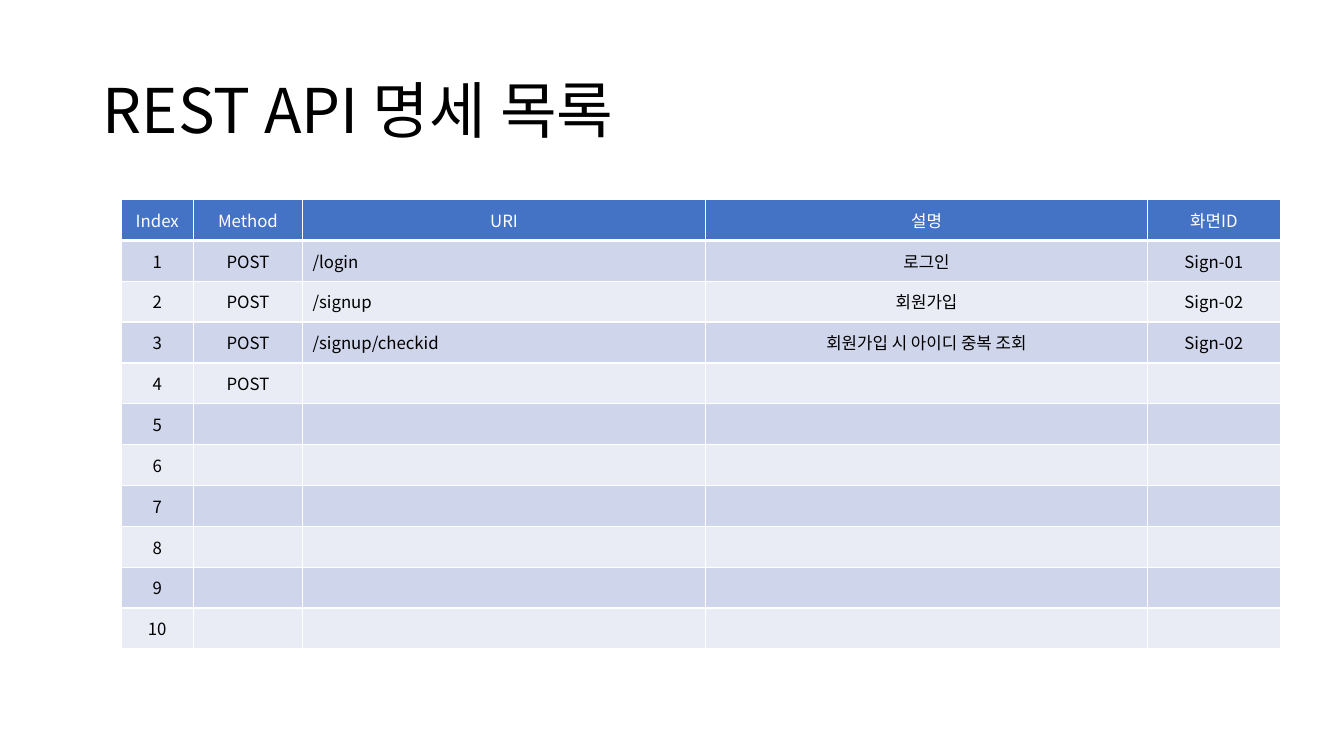
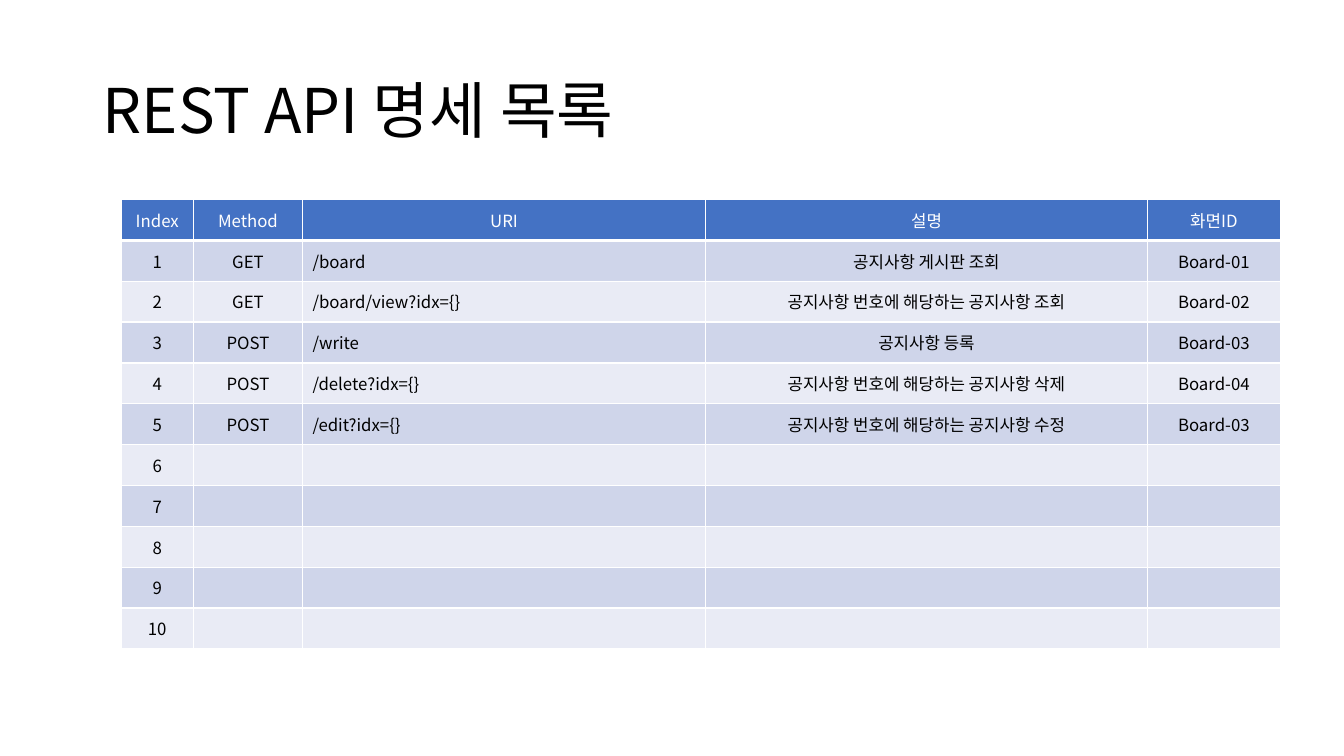
from dataclasses import dataclass

from lxml import etree
from pptx import Presentation
from pptx import util as u
from pptx.dml.color import RGBColor
from pptx.enum import text
from pptx.oxml.ns import qn

TITLE = "REST API 명세 목록"
# heading, width in inches, alignment of the body cells
MID, LEFT = text.PP_ALIGN.CENTER, text.PP_ALIGN.LEFT
COLS = [
    ("Index", 0.72, MID),
    ("Method", 1.08, MID),
    ("URI", 4, LEFT),
    ("설명", 4.38, MID),
    ("화면ID", 1.32, MID),
]
LISTS = [
    [
        ("POST", "/login", "로그인", "Sign-01"),
        ("POST", "/signup", "회원가입", "Sign-02"),
        ("POST", "/signup/checkid", "회원가입 시 아이디 중복 조회", "Sign-02"),
        ("POST",),
    ],
    [
        ("GET", "/board", "공지사항 게시판 조회", "Board-01"),
        ("GET", "/board/view?idx={}", "공지사항 번호에 해당하는 공지사항 조회", "Board-02"),
        ("POST", "/write", "공지사항 등록", "Board-03"),
        ("POST", "/delete?idx={}", "공지사항 번호에 해당하는 공지사항 삭제", "Board-04"),
        ("POST", "/edit?idx={}", "공지사항 번호에 해당하는 공지사항 수정", "Board-03"),
    ],
]
COUNT = 10  # numbered rows in each table


@dataclass(frozen=True)
class Theme:
    font: str = "Noto Sans CJK KR"
    head: str = "4472C4"
    bands: tuple = ("E9EBF5", "CFD5EA")
    ink: str = "000000"
    paper: str = "FFFFFF"
    title: int = 44
    cell: int = 12
    line: int = 1
    rule: int = 3


T = Theme()
SIZE = (13.33, 7.5)
TITLE_BOX = (0.92, 0.4, 11.5, 1.45)
TABLE_AT = (1.2, 1.98)
TABLE_H = 4.46


def style(para, size, color, align):
    para.alignment = align
    for run in para.runs:
        font = run.font
        font.name, font.size, font.bold = T.font, u.Pt(size), False
        font.color.rgb = RGBColor.from_string(color)
        east = etree.SubElement(run._r.rPr, qn("a:ea"))
        east.set("typeface", T.font)
    if not para.runs:  # an empty cell must not stretch its row
        end = etree.SubElement(para._p, qn("a:endParaRPr"))
        end.set("sz", str(size * 100))


def border(cell, below):
    """Draw the four edges; they stand before the fill in the XML."""
    props = cell._tc.get_or_add_tcPr()
    widths = {"L": T.line, "R": T.line, "T": T.line, "B": below}
    for spot, (side, width) in enumerate(widths.items()):
        edge = etree.Element(qn("a:ln" + side), w=str(u.Pt(width)))
        fill = etree.SubElement(edge, qn("a:solidFill"))
        etree.SubElement(fill, qn("a:srgbClr"), val=T.paper)
        props.insert(spot, edge)


def paint(cell, words, row, align):
    head = row == 0
    cell.text_frame.text = words
    cell.vertical_anchor = text.MSO_ANCHOR.MIDDLE
    cell.fill.solid()
    shade = T.head if head else T.bands[row % 2]
    cell.fill.fore_color.rgb = RGBColor.from_string(shade)
    border(cell, T.rule if head else T.line)
    style(cell.text_frame.paragraphs[0], T.cell,
          T.paper if head else T.ink, MID if head else align)


def add_list(slide, calls):
    rows = [[name for name, _, _ in COLS]]
    for num in range(1, COUNT + 1):
        call = calls[num - 1] if num <= len(calls) else ()
        rows.append([str(num), *call])
    wide = sum(width for _, width, _ in COLS)
    box = map(u.Inches, (*TABLE_AT, wide, TABLE_H))
    table = slide.shapes.add_table(len(rows), len(COLS), *box).table
    for col, (_, width, _) in zip(table.columns, COLS):
        col.width = u.Inches(width)
    for r, row in enumerate(rows):
        for c, (_, _, align) in enumerate(COLS):
            paint(table.cell(r, c), row[c] if c < len(row) else "", r, align)


def add_title(slide):
    frame = slide.shapes.title.text_frame
    frame.text = TITLE
    frame.vertical_anchor = text.MSO_ANCHOR.MIDDLE
    para = frame.paragraphs[0]
    para.line_spacing = 0.9
    style(para, T.title, T.ink, LEFT)


def main():
    deck = Presentation()
    deck.slide_width, deck.slide_height = map(u.Inches, SIZE)
    layout = deck.slide_layouts.get_by_name("Title Only")
    title = layout.placeholders[0]
    title.left, title.top, title.width, title.height = map(u.Inches, TITLE_BOX)
    for calls in LISTS:
        slide = deck.slides.add_slide(layout)
        add_title(slide)
        add_list(slide, calls)
    deck.save("out.pptx")


if __name__ == "__main__":
    main()
